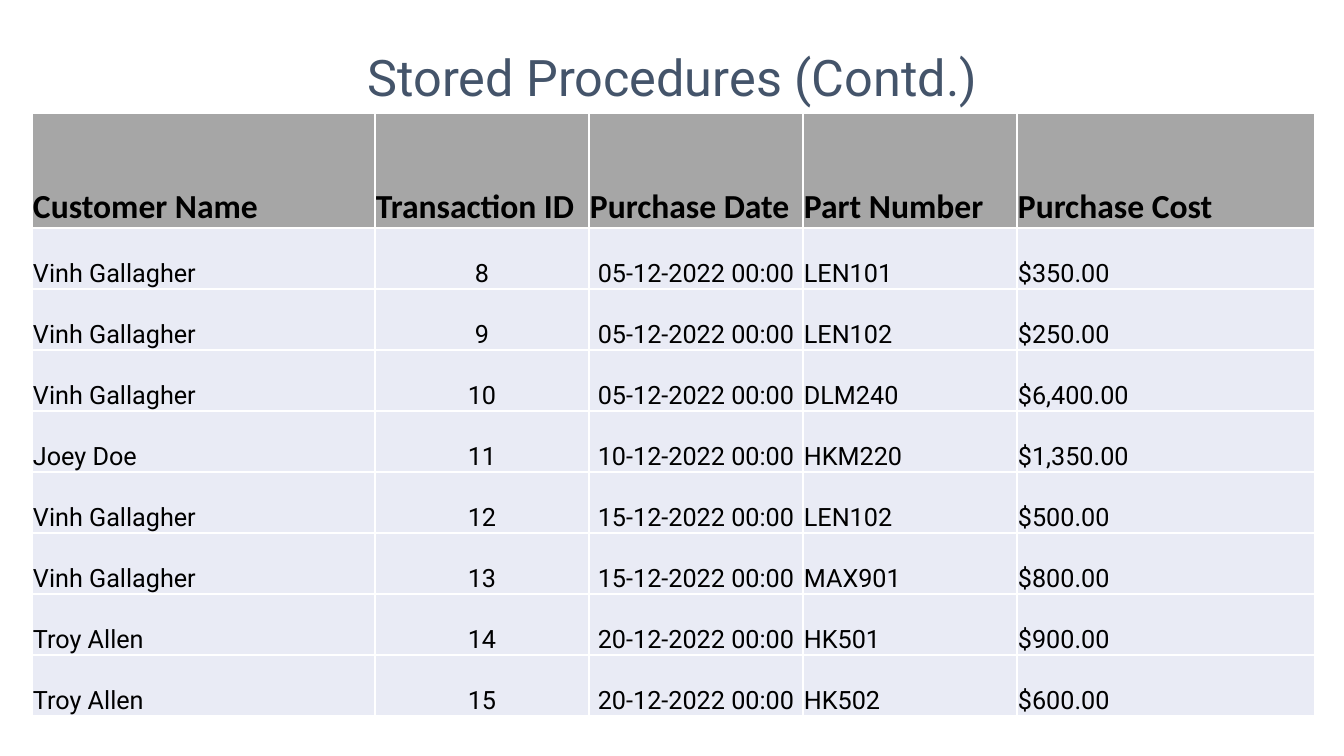
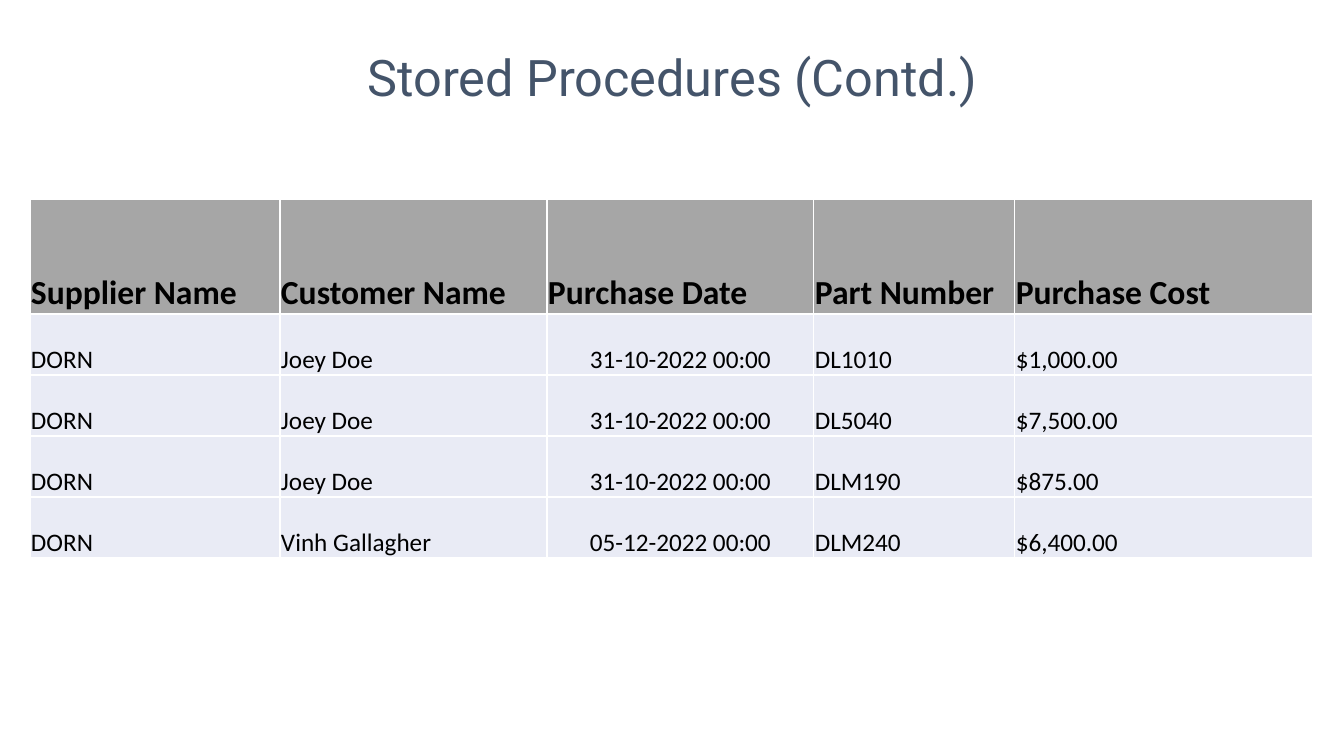
from dataclasses import dataclass

from lxml import etree
from pptx import Presentation
from pptx import util as u
from pptx.dml.color import RGBColor
from pptx.enum import text
from pptx.oxml import parse_xml
from pptx.oxml.ns import nsdecls, qn

SLIDE_WIDTH, SLIDE_HEIGHT = 1344, 756
EMU_PER_PX = 12192000 / SLIDE_WIDTH


@dataclass(frozen=True)
class Theme:
    title_color: str = "44546A"
    text_color: str = "000000"
    header_fill: str = "A6A6A6"
    body_fill: str = "E9EBF5"
    line_color: str = "FFFFFF"
    title_font: str = "Roboto"
    header_font: str = "Calibri"
    title_size: int = 36
    header_size: int = 24
    body_size: int = 18
    header_height: int = 115
    row_height: int = 61


THEME = Theme()
TITLE = "Stored Procedures (Contd.)"

TRANSACTIONS = [
    ("Customer Name", "Transaction ID", "Purchase Date", "Part Number", "Purchase Cost"),
    ("Vinh Gallagher", "8", "05-12-2022 00:00", "LEN101", "$350.00"),
    ("Vinh Gallagher", "9", "05-12-2022 00:00", "LEN102", "$250.00"),
    ("Vinh Gallagher", "10", "05-12-2022 00:00", "DLM240", "$6,400.00"),
    ("Joey Doe", "11", "10-12-2022 00:00", "HKM220", "$1,350.00"),
    ("Vinh Gallagher", "12", "15-12-2022 00:00", "LEN102", "$500.00"),
    ("Vinh Gallagher", "13", "15-12-2022 00:00", "MAX901", "$800.00"),
    ("Troy Allen", "14", "20-12-2022 00:00", "HK501", "$900.00"),
    ("Troy Allen", "15", "20-12-2022 00:00", "HK502", "$600.00"),
]

SUPPLIER_SALES = [
    ("Supplier Name", "Customer Name", "Purchase Date", "Part Number", "Purchase Cost"),
    ("DORN", "Joey Doe", "31-10-2022 00:00", "DL1010", "$1,000.00"),
    ("DORN", "Joey Doe", "31-10-2022 00:00", "DL5040", "$7,500.00"),
    ("DORN", "Joey Doe", "31-10-2022 00:00", "DLM190", "$875.00"),
    ("DORN", "Vinh Gallagher", "05-12-2022 00:00", "DLM240", "$6,400.00"),
]


def px(length):
    return u.Emu(round(length * EMU_PER_PX))


def style_font(font, name, size, color, bold=False):
    font.name = name
    font.size = u.Pt(size)
    font.bold = bold
    font.color.rgb = RGBColor.from_string(color)


def add_text_effects(run):
    """Give the run a faint outline and a soft shadow."""
    properties = run.font._element
    outline = parse_xml(
        f'<a:ln {nsdecls("a")} w="9525"><a:solidFill><a:srgbClr val="{THEME.line_color}">'
        '<a:alpha val="10000"/></a:srgbClr></a:solidFill></a:ln>')
    shadow = parse_xml(
        f'<a:effectLst {nsdecls("a")}><a:outerShdw blurRad="38100" dist="38100" dir="2700000">'
        '<a:srgbClr val="000000"><a:alpha val="43000"/></a:srgbClr></a:outerShdw></a:effectLst>')
    properties.insert(0, outline)
    properties.find(qn("a:solidFill")).addnext(shadow)


def add_title(slide, title):
    frame = slide.shapes.add_textbox(px(93), px(40), px(1159), px(73)).text_frame
    frame.word_wrap = True
    frame.vertical_anchor = text.MSO_ANCHOR.MIDDLE
    paragraph = frame.paragraphs[0]
    paragraph.alignment = text.PP_ALIGN.CENTER
    run = paragraph.add_run()
    run.text = title
    style_font(run.font, THEME.title_font, THEME.title_size, THEME.title_color)
    add_text_effects(run)


def add_borders(cell):
    properties = cell._tc.get_or_add_tcPr()
    for index, side in enumerate(("lnL", "lnR", "lnT", "lnB")):
        line = etree.Element(qn(f"a:{side}"), w=str(u.Pt(1)))
        fill = etree.SubElement(line, qn("a:solidFill"))
        etree.SubElement(fill, qn("a:srgbClr"), val=THEME.line_color)
        properties.insert(index, line)


def fill_cell(cell, value, is_header, body_font, centered):
    cell.text = value
    cell.vertical_anchor = text.MSO_ANCHOR.BOTTOM
    cell.margin_left = cell.margin_right = cell.margin_top = px(1)
    cell.margin_bottom = 0
    cell.fill.solid()
    cell.fill.fore_color.rgb = RGBColor.from_string(
        THEME.header_fill if is_header else THEME.body_fill)
    add_borders(cell)
    paragraph = cell.text_frame.paragraphs[0]
    paragraph.alignment = text.PP_ALIGN.CENTER if centered else text.PP_ALIGN.LEFT
    style_font(paragraph.font,
               THEME.header_font if is_header else body_font,
               THEME.header_size if is_header else THEME.body_size,
               THEME.text_color, bold=is_header)


def add_data_table(slide, left, top, widths, rows, body_font, centered_columns):
    heights = [THEME.header_height] + [THEME.row_height] * (len(rows) - 1)
    table = slide.shapes.add_table(len(rows), len(widths), px(left), px(top),
                                   px(sum(widths)), px(sum(heights))).table
    table.horz_banding = False
    for column, width in zip(table.columns, widths):
        column.width = px(width)
    for row_index, (values, height) in enumerate(zip(rows, heights)):
        table.rows[row_index].height = px(height)
        is_header = row_index == 0
        for column_index, value in enumerate(values):
            centered = not is_header and column_index in centered_columns
            fill_cell(table.cell(row_index, column_index), value, is_header, body_font, centered)


def add_table_slide(presentation, **table_options):
    slide = presentation.slides.add_slide(presentation.slide_layouts[6])
    add_title(slide, TITLE)
    add_data_table(slide, **table_options)


def main():
    presentation = Presentation()
    presentation.slide_width = px(SLIDE_WIDTH)
    presentation.slide_height = px(SLIDE_HEIGHT)
    add_table_slide(presentation, left=32, top=113, widths=(343, 214, 214, 214, 298),
                    rows=TRANSACTIONS, body_font="Roboto", centered_columns={1, 2})
    add_table_slide(presentation, left=30, top=199, widths=(250, 267, 267, 201, 298),
                    rows=SUPPLIER_SALES, body_font="Calibri", centered_columns={2})
    presentation.save("out.pptx")


if __name__ == "__main__":
    main()
